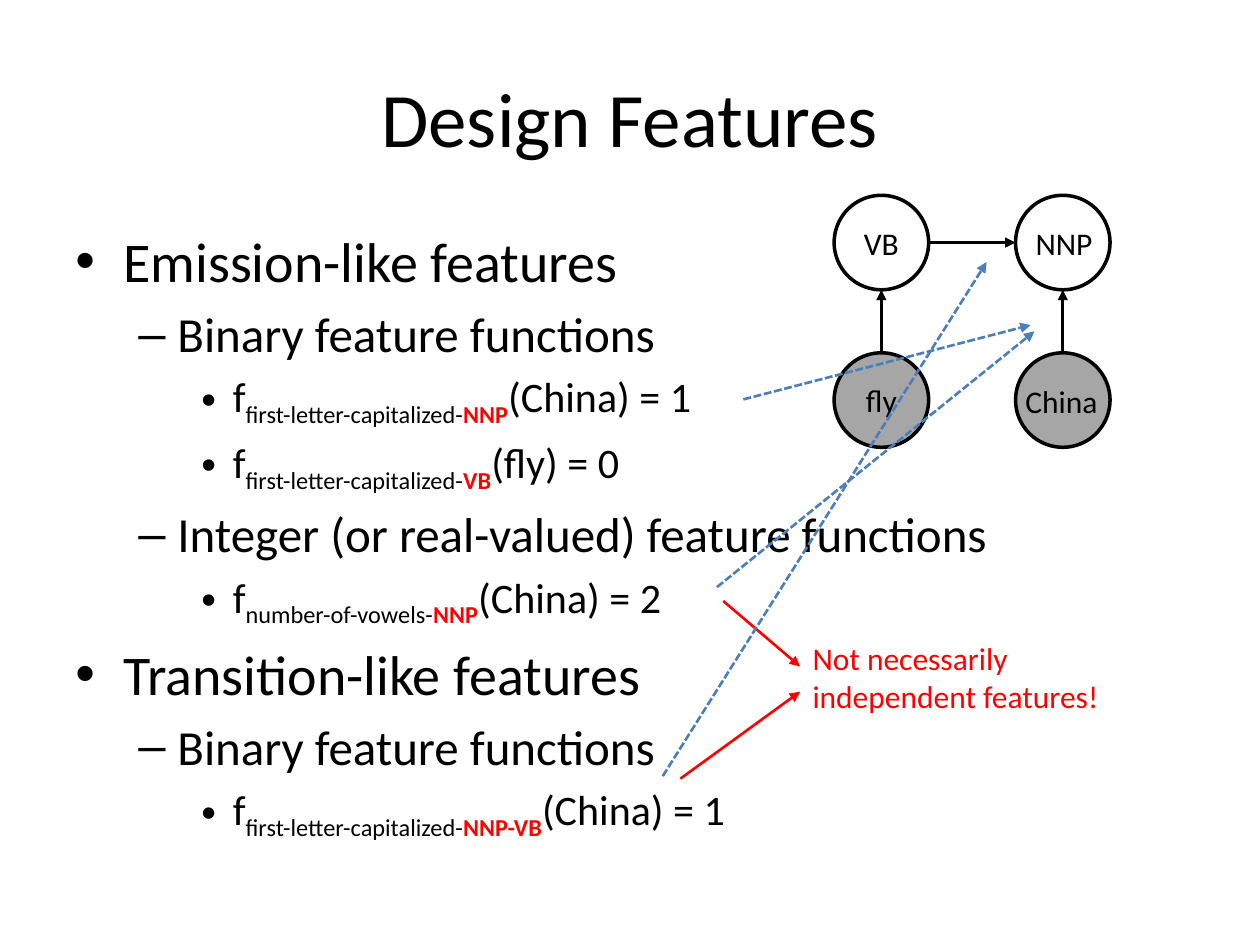
from lxml import etree
from pptx import Presentation
from pptx.dml.color import RGBColor
from pptx.enum.dml import MSO_LINE
from pptx.enum.shapes import MSO_CONNECTOR, MSO_SHAPE
from pptx.enum.text import MSO_ANCHOR, PP_ALIGN
from pptx.oxml.ns import qn
from pptx.util import Inches, Pt

FONT = "Calibri"
BLACK = RGBColor(0x00, 0x00, 0x00)
WHITE = RGBColor(0xFF, 0xFF, 0xFF)
GRAY = RGBColor(0xA6, 0xA6, 0xA6)
RED = RGBColor(0xFF, 0x00, 0x00)
BLUE = RGBColor(0x4B, 0x7E, 0xBC)

STRAIGHT = MSO_CONNECTOR.STRAIGHT
OVAL = MSO_SHAPE.OVAL
SHORT_DASH = MSO_LINE.SQUARE_DOT
MIDDLE = MSO_ANCHOR.MIDDLE
CENTER = PP_ALIGN.CENTER

# Outline levels: bullet, left margin, hanging indent, font size
LEVELS = [("•", 0.38, 0.38, 32), ("–", 0.81, 0.31, 28), ("•", 1.25, 0.25, 24)]

# Outline entries: level and text, or level and (subscript, tag, ending)
OUTLINE = [
    (0, "Emission-like features"),
    (1, "Binary feature functions"),
    (2, ("first-letter-capitalized-", "NNP", "(China) = 1")),
    (2, ("first-letter-capitalized-", "VB", "(fly) = 0")),
    (1, "Integer (or real-valued) feature functions"),
    (2, ("number-of-vowels-", "NNP", "(China) = 2")),
    (0, "Transition-like features"),
    (1, "Binary feature functions"),
    (2, ("first-letter-capitalized-", "NNP-VB", "(China) = 1")),
]

# Graph geometry
DIAMETER = 0.75
LEFT_COLUMN, RIGHT_COLUMN = 6.62, 8.06
TAG_ROW, WORD_ROW = 1.55, 2.8


def style_font(paragraph, size, color=BLACK):
    paragraph.font.name = FONT
    paragraph.font.size = Pt(size)
    paragraph.font.color.rgb = color


def add_text(slide, text, left, top, width, height, size=18, color=BLACK, wrap=True):
    box = slide.shapes.add_textbox(Inches(left), Inches(top), Inches(width), Inches(height))
    box.text_frame.word_wrap = wrap
    paragraph = box.text_frame.paragraphs[0]
    paragraph.text = text
    style_font(paragraph, size, color)
    return box


def set_bullet(paragraph, character, margin, hanging):
    properties = paragraph._p.get_or_add_pPr()
    properties.set("marL", str(Inches(margin)))
    properties.set("indent", str(-Inches(hanging)))
    etree.SubElement(properties, qn("a:buFont")).set("typeface", "Arial")
    etree.SubElement(properties, qn("a:buChar")).set("char", character)


def add_run(paragraph, text, subscript=False):
    run = paragraph.add_run()
    run.text = text
    if subscript:
        run._r.get_or_add_rPr().set("baseline", "-25000")
    return run


def add_feature(paragraph, subscript, tag, ending):
    add_run(paragraph, "f")
    add_run(paragraph, subscript, subscript=True)
    tag_run = add_run(paragraph, tag, subscript=True)
    tag_run.font.bold = True
    tag_run.font.color.rgb = RED
    add_run(paragraph, ending)


def add_outline(slide):
    box = slide.shapes.add_textbox(Inches(0.5), Inches(1.75), Inches(9), Inches(4.95))
    frame = box.text_frame
    frame.word_wrap = True
    for index, (level, content) in enumerate(OUTLINE):
        character, margin, hanging, size = LEVELS[level]
        paragraph = frame.add_paragraph() if index else frame.paragraphs[0]
        paragraph.level = level
        set_bullet(paragraph, character, margin, hanging)
        if index:
            paragraph.space_before = Pt(0.2 * size)
        style_font(paragraph, size)
        if isinstance(content, str):
            add_run(paragraph, content)
        else:
            add_feature(paragraph, *content)


def add_node(slide, left, top, fill, text=None):
    node = slide.shapes.add_shape(
        OVAL, Inches(left), Inches(top), Inches(DIAMETER), Inches(DIAMETER))
    node.shadow.inherit = False
    node.fill.solid()
    node.fill.fore_color.rgb = fill
    node.line.color.rgb = BLACK
    node.line.width = Pt(2)
    if text:
        frame = node.text_frame
        frame.word_wrap = False
        frame.vertical_anchor = MIDDLE
        paragraph = frame.paragraphs[0]
        paragraph.text = text
        paragraph.alignment = CENTER
        style_font(paragraph, 18)


def add_arrow(slide, start, end, color, dash=None):
    arrow = slide.shapes.add_connector(STRAIGHT, *map(Inches, (*start, *end)))
    arrow.line.color.rgb = color
    arrow.line.width = Pt(1.5)
    if dash:
        arrow.line.dash_style = dash
    line = arrow.line._get_or_add_ln()
    etree.SubElement(line, qn("a:tailEnd")).set("type", "triangle")
    etree.SubElement(arrow._element.spPr, qn("a:effectLst"))


def add_graph(slide):
    # Tags above, observed words below
    add_node(slide, LEFT_COLUMN, TAG_ROW, WHITE, "VB")
    add_node(slide, RIGHT_COLUMN, TAG_ROW, WHITE)
    add_node(slide, LEFT_COLUMN, WORD_ROW, GRAY, "fly")
    add_node(slide, RIGHT_COLUMN, WORD_ROW, GRAY)

    # Transition and emissions
    radius = DIAMETER / 2
    tag_middle = TAG_ROW + radius
    add_arrow(slide, (LEFT_COLUMN + DIAMETER, tag_middle), (RIGHT_COLUMN, tag_middle), BLACK)
    for column in (LEFT_COLUMN, RIGHT_COLUMN):
        center = column + radius
        add_arrow(slide, (center, WORD_ROW), (center, TAG_ROW + DIAMETER), BLACK)

    # Labels too wide for their circles
    add_text(slide, "China", 8.04, 2.98, 0.83, 0.4, wrap=False)
    add_text(slide, "NNP", 8.12, 1.73, 0.92, 0.4, wrap=False)


def main():
    presentation = Presentation()
    presentation.slide_width = Inches(10)
    presentation.slide_height = Inches(7.5)
    slide = presentation.slides.add_slide(presentation.slide_layouts[6])

    # Title and outline
    title = add_text(slide, "Design Features", 0.5, 0.3, 9, 1.25, size=44)
    title.text_frame.vertical_anchor = MIDDLE
    title.text_frame.paragraphs[0].alignment = CENTER
    add_outline(slide)

    # Remark on dependent features
    add_arrow(slide, (5.74, 4.77), (6.35, 5.29), RED)
    add_arrow(slide, (5.4, 6.18), (6.35, 5.49), RED)
    add_text(slide, "Not necessarily independent features!", 6.35, 5.02, 2.69, 0.71, color=RED)

    add_graph(slide)

    # Links from features to graph edges
    for start, end in [((5.9, 3.17), (8.18, 2.58)),
                       ((5.69, 4.66), (8.21, 2.63)),
                       ((5.26, 6.16), (7.83, 2.08))]:
        add_arrow(slide, start, end, BLUE, SHORT_DASH)

    presentation.save("out.pptx")


if __name__ == "__main__":
    main()
